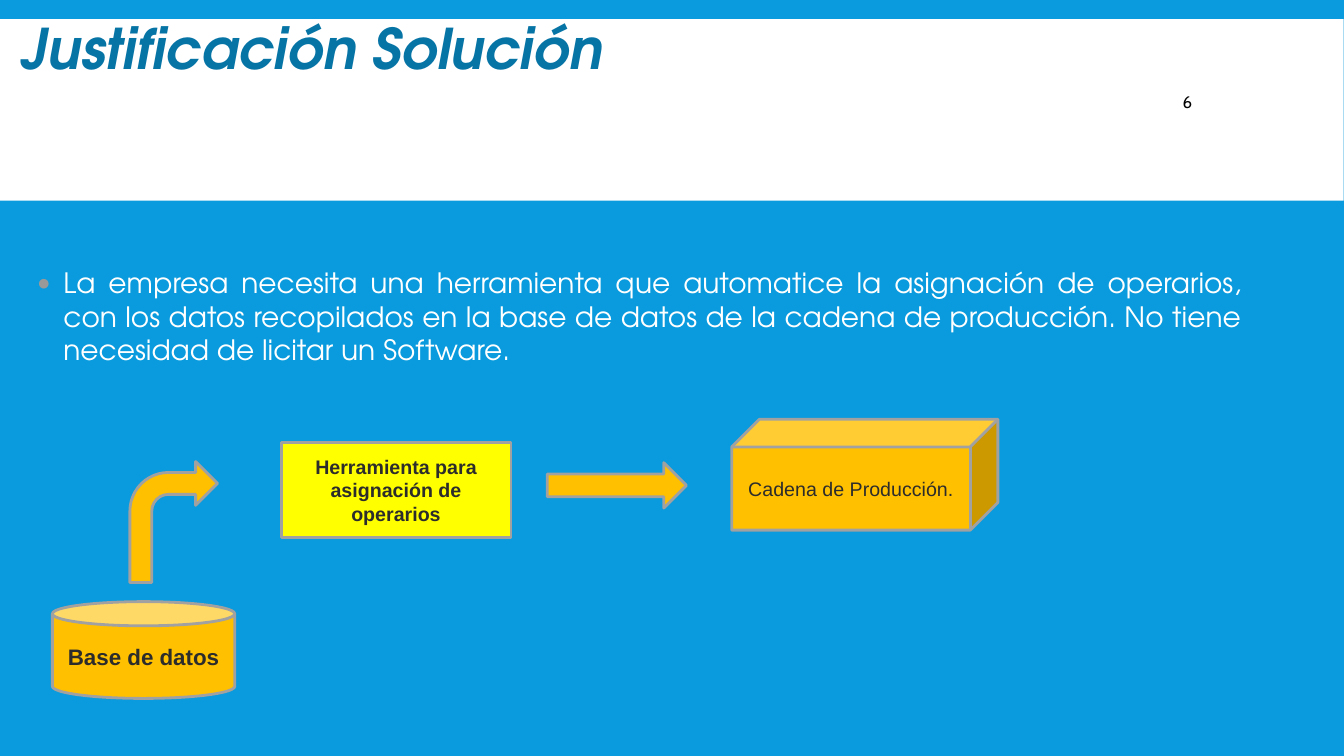
from lxml import etree
from pptx import Presentation
from pptx.dml.color import RGBColor
from pptx.enum.shapes import MSO_SHAPE
from pptx.enum.text import MSO_ANCHOR, PP_ALIGN
from pptx.oxml.ns import qn
from pptx.util import Pt

COLORS = {
    "background": "099BDD",
    "band": "FFFFFF",
    "title": "0774A6",
    "body": "FFFFFF",
    "bullet": "999999",
    "number": "000000",
    "amber": "FFC000",
    "yellow": "FFFF00",
    "outline": "A1A1A1",
    "label": "2C2C2C",
}
HEADING_FONT = "TeX Gyre Adventor"


def rgb(name):
    return RGBColor.from_string(COLORS[name])


def write(shape, text, size, color, font="Arial", bold=False, italic=False,
          align=PP_ALIGN.CENTER, anchor=MSO_ANCHOR.MIDDLE, inset=3.6):
    frame = shape.text_frame
    frame.word_wrap = True
    frame.vertical_anchor = anchor
    frame.margin_left = frame.margin_right = Pt(7.2)
    frame.margin_top = frame.margin_bottom = Pt(inset)
    paragraph = frame.paragraphs[0]
    paragraph.alignment = align
    run = paragraph.add_run()
    run.text = text
    run.font.name = font
    run.font.size = Pt(size)
    run.font.bold = bold
    run.font.italic = italic
    run.font.color.rgb = rgb(color)
    return paragraph


def add_bullet(paragraph, symbol, color, percent, margin, hanging):
    properties = paragraph._p.get_or_add_pPr()
    properties.set("marL", str(Pt(margin)))
    properties.set("indent", str(-Pt(hanging)))
    bullet_color = etree.SubElement(properties, qn("a:buClr"))
    etree.SubElement(bullet_color, qn("a:srgbClr"), val=COLORS[color])
    etree.SubElement(properties, qn("a:buSzPct"), val=str(percent * 1000))
    etree.SubElement(properties, qn("a:buFont"), typeface="Arial")
    etree.SubElement(properties, qn("a:buChar"), char=symbol)


def add_box(slide, left, top, width, height):
    return slide.shapes.add_textbox(Pt(left), Pt(top), Pt(width), Pt(height))


def add_figure(slide, kind, left, top, width, height, fill,
               outline="outline", adjustments=()):
    figure = slide.shapes.add_shape(kind, Pt(left), Pt(top), Pt(width), Pt(height))
    figure.shadow.inherit = False
    figure.fill.solid()
    figure.fill.fore_color.rgb = rgb(fill)
    if outline:
        figure.line.color.rgb = rgb(outline)
        figure.line.width = Pt(2)
    else:
        figure.line.fill.background()
    for index, value in enumerate(adjustments):
        figure.adjustments[index] = value
    return figure


def build_header(slide, left, top, width, height):
    add_figure(slide, MSO_SHAPE.RECTANGLE, left, top, width, height, "band", outline=None)
    title = add_box(slide, left + 7.9, top - 11.5, 741, 110)
    write(title, "Justificación Solución", 40, "title", HEADING_FONT, bold=True,
          italic=True, align=PP_ALIGN.LEFT, anchor=MSO_ANCHOR.TOP, inset=7.2)
    number = add_box(slide, left + 815, top + 9.4, 66.2, 60.5)
    write(number, "6", 12, "number", "Cabin", anchor=MSO_ANCHOR.BOTTOM)


def build_statement(slide, left, top, width, height):
    statement = add_box(slide, left, top, width, height)
    paragraph = write(
        statement,
        "La empresa necesita una herramienta que automatice la asignación de "
        "operarios, con los datos recopilados en la base de datos de la cadena "
        "de producción. No tiene necesidad de licitar un Software.",
        20, "body", HEADING_FONT, align=PP_ALIGN.JUSTIFY,
        anchor=MSO_ANCHOR.TOP, inset=7.2)
    add_bullet(paragraph, "●", "bullet", 80, 27.4, 18.7)


def build_flow(slide, left, top):
    database = add_figure(slide, MSO_SHAPE.CAN, left, top + 130.3, 130.3, 69.1,
                          "amber", adjustments=[0.25])
    write(database, "Base de datos", 16, "label", bold=True)
    add_figure(slide, MSO_SHAPE.BENT_ARROW, left + 55.4, top + 30.2, 62.6, 86.4,
               "amber", adjustments=[0.25, 0.25, 0.25, 0.44])
    tool = add_figure(slide, MSO_SHAPE.RECTANGLE, left + 163.4, top + 16.6, 164.2, 67.7,
                      "yellow")
    write(tool, "Herramienta para asignación de operarios", 14, "label", bold=True)
    add_figure(slide, MSO_SHAPE.RIGHT_ARROW, left + 353.5, top + 31, 99.4, 32.4,
               "amber", adjustments=[0.5, 0.5])
    production = add_figure(slide, MSO_SHAPE.CUBE, left + 485.3, top, 190.1, 79.2,
                            "amber", adjustments=[0.25])
    write(production, "Cadena de Producción.", 14, "label")


def main():
    presentation = Presentation()
    presentation.slide_width = Pt(960)
    presentation.slide_height = Pt(540)
    slide = presentation.slides.add_slide(presentation.slide_layouts[6])
    slide.background.fill.solid()
    slide.background.fill.fore_color.rgb = rgb("background")
    build_header(slide, 0, 13.7, 959.8, 129.6)
    build_statement(slide, 10.8, 182.5, 883.4, 264)
    build_flow(slide, 37.4, 299.5)
    presentation.save("out.pptx")


if __name__ == "__main__":
    main()
